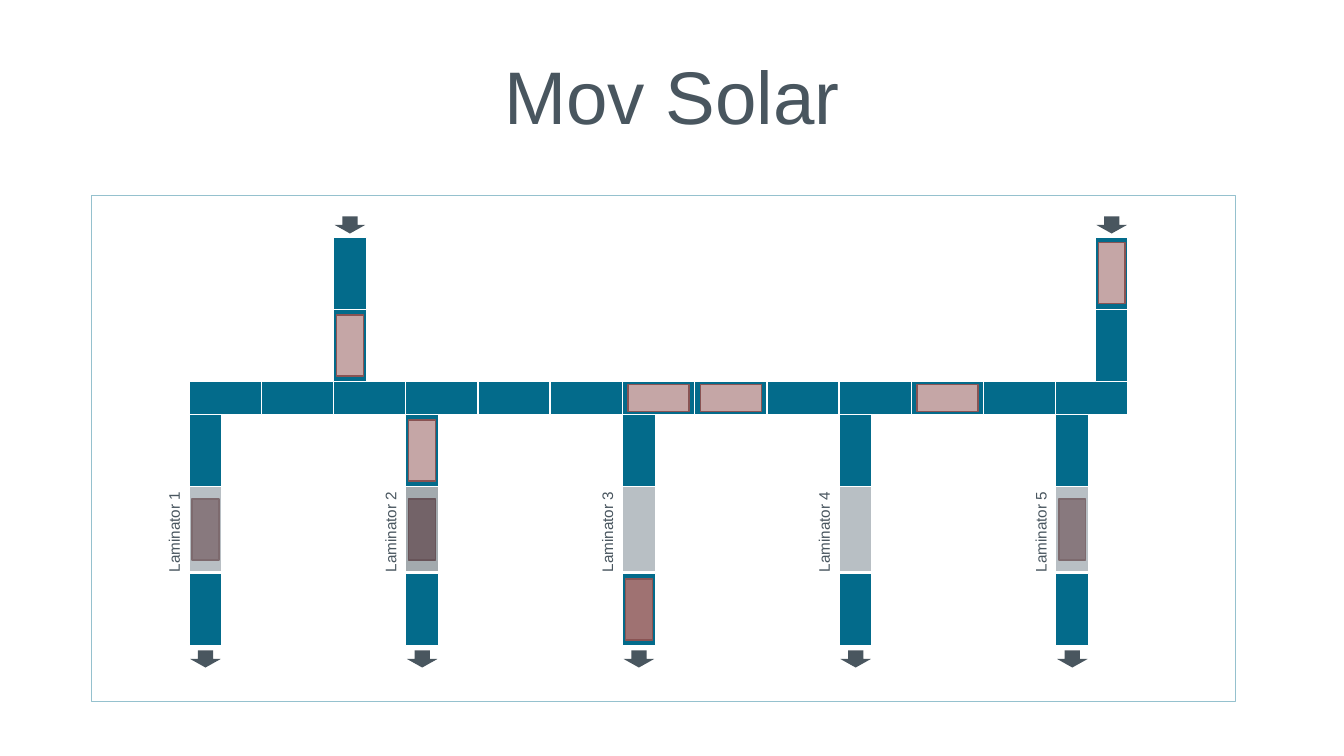
import pptx
import pptx.util
import pptx.dml.color
import pptx.enum.shapes
import pptx.enum.text
import pptx.oxml
import pptx.oxml.ns

SHAPE = pptx.enum.shapes.MSO_SHAPE
ALIGN = pptx.enum.text.PP_ALIGN
ANCHOR = pptx.enum.text.MSO_ANCHOR
inch = pptx.util.Inches

COLORS = {
    "ink": "49565F", "frame": "95C1CE", "belt": "036B8B", "white": "FFFFFF",
    "laminator": "72818A", "raw": "C5A6A6", "cooked": "9F7272", "edge": "895353",
}
WIDTH, HEIGHT = 11.02, 6.2
COLUMNS = 13
LINE_W = 7.7                 # length of the main conveyor
CELL = LINE_W / COLUMNS      # length of one belt segment
BELT = 0.27                  # width of a belt
LAMINATOR = 0.7              # length of a laminator
PANEL_LONG, PANEL_SHORT = 0.5, 0.22
ARROW_W, ARROW_H = 0.25, 0.14


def rgb(name):
    return pptx.dml.color.RGBColor.from_string(COLORS[name])


def add_block(slide, box, fill=None, line=None, weight=0, kind=SHAPE.RECTANGLE, alpha=None):
    """Add a preset shape; alpha is the opacity in percent."""
    sp = slide.shapes.add_shape(kind, *map(inch, box))
    sp.shadow.inherit = False
    if fill:
        sp.fill.solid()
        sp.fill.fore_color.rgb = rgb(fill)
    else:
        sp.fill.background()
    if line:
        sp.line.color.rgb = rgb(line)
        sp.line.width = pptx.util.Pt(weight)
    else:
        sp.line.fill.background()
    if alpha:
        color = sp.fill._xPr.find(".//" + pptx.oxml.ns.qn("a:srgbClr"))
        color.append(pptx.oxml.parse_xml(
            f'<a:alpha {pptx.oxml.ns.nsdecls("a")} val="{alpha * 1000}"/>'))


def add_text(slide, box, text, size, align, frame_format, rotation=0):
    tb = slide.shapes.add_textbox(*map(inch, box))
    tb.rotation = rotation
    tf = tb.text_frame
    for key, value in frame_format.items():
        setattr(tf, key, value)
    p = tf.paragraphs[0]
    p.alignment = align
    r = p.add_run()
    r.text = text
    for key, value in {"name": "Arial", "size": pptx.util.Pt(size)}.items():
        setattr(r.font, key, value)
    r.font.color.rgb = rgb("ink")


def add_belt(slide, box):
    add_block(slide, box, "belt", "white")


def add_panel(slide, box, fill):
    """Centre a solar panel in a box, lying along its longer side."""
    x, y, w, h = box
    pw, ph = (PANEL_LONG, PANEL_SHORT) if w > h else (PANEL_SHORT, PANEL_LONG)
    add_block(slide, (x + (w - pw) / 2, y + (h - ph) / 2, pw, ph), fill, "edge", 0.79)


def add_arrow(slide, centre, top):
    add_block(slide, (centre - ARROW_W / 2, top, ARROW_W, ARROW_H), "ink", kind=SHAPE.DOWN_ARROW)


def add_title(slide, box):
    frame_format = dict.fromkeys(
        ("margin_left", "margin_top", "margin_right", "margin_bottom"), 0)
    frame_format.update(word_wrap=True, vertical_anchor=ANCHOR.MIDDLE)
    add_text(slide, box, "Mov Solar", 44, ALIGN.CENTER, frame_format)


def add_main_line(slide, left, top, loaded):
    cells = [(left + i * CELL, top, CELL, BELT) for i in range(COLUMNS)]
    for cell in cells:
        add_belt(slide, cell)
    for i in loaded:
        add_panel(slide, cells[i], "raw")


def add_infeed(slide, left, bottom, loaded):
    """Two belts ending at bottom, the loaded one carrying a panel."""
    cells = [(left, bottom - n * CELL, BELT, CELL) for n in (2, 1)]
    for cell in cells:
        add_belt(slide, cell)
    add_panel(slide, cells[loaded], "raw")
    add_arrow(slide, left + BELT / 2, cells[0][1] - 0.17)


def add_lane(slide, left, top, label, loads, cover):
    """Inlet belt, laminator and outlet belt; loads gives the panel colour on each."""
    inlet = (left, top, BELT, CELL)
    laminator = (left, top + CELL, BELT, LAMINATOR)
    outlet = (left, top + CELL + LAMINATOR + 0.01, BELT, CELL)
    add_belt(slide, inlet)
    add_belt(slide, outlet)
    for box, fill in zip((inlet, laminator, outlet), loads):
        if fill:
            add_panel(slide, box, fill)
    add_block(slide, laminator, cover, "white", alpha=50)
    w, h = 0.86, 0.24
    middle = laminator[1] + LAMINATOR / 2 + 0.02
    add_text(slide, (left - 0.13 - w / 2, middle - h / 2, w, h), label, 9,
             ALIGN.LEFT, {"word_wrap": False}, 270)
    add_arrow(slide, left + BELT / 2, outlet[1] + CELL + 0.04)


def add_plant(slide, box):
    x, y, w, h = box
    add_block(slide, box, line="frame", weight=0.5)
    left, top = x + 0.8, y + 1.53
    add_main_line(slide, left, top, loaded=(6, 7, 10))
    add_infeed(slide, left + 2 * CELL, top, loaded=1)
    add_infeed(slide, left + LINE_W - BELT, top, loaded=0)
    lanes = [
        ((None, "cooked", None), "laminator"),
        (("raw", "cooked", None), "ink"),
        ((None, None, "cooked"), "laminator"),
        ((None, None, None), "laminator"),
        ((None, "cooked", None), "laminator"),
    ]
    for i, (loads, cover) in enumerate(lanes):
        add_lane(slide, left + 3 * i * CELL, top + BELT, f"Laminator {i + 1}", loads, cover)


def main():
    prs = pptx.Presentation()
    prs.slide_width, prs.slide_height = inch(WIDTH), inch(HEIGHT)
    slide = prs.slides.add_slide(prs.slide_layouts[6])
    add_title(slide, (0.05 * WIDTH, 0.04 * HEIGHT, 0.9 * WIDTH, 0.17 * HEIGHT))
    add_plant(slide, (0.75, 1.6, 9.38, 4.15))
    prs.save("out.pptx")


if __name__ == "__main__":
    main()
